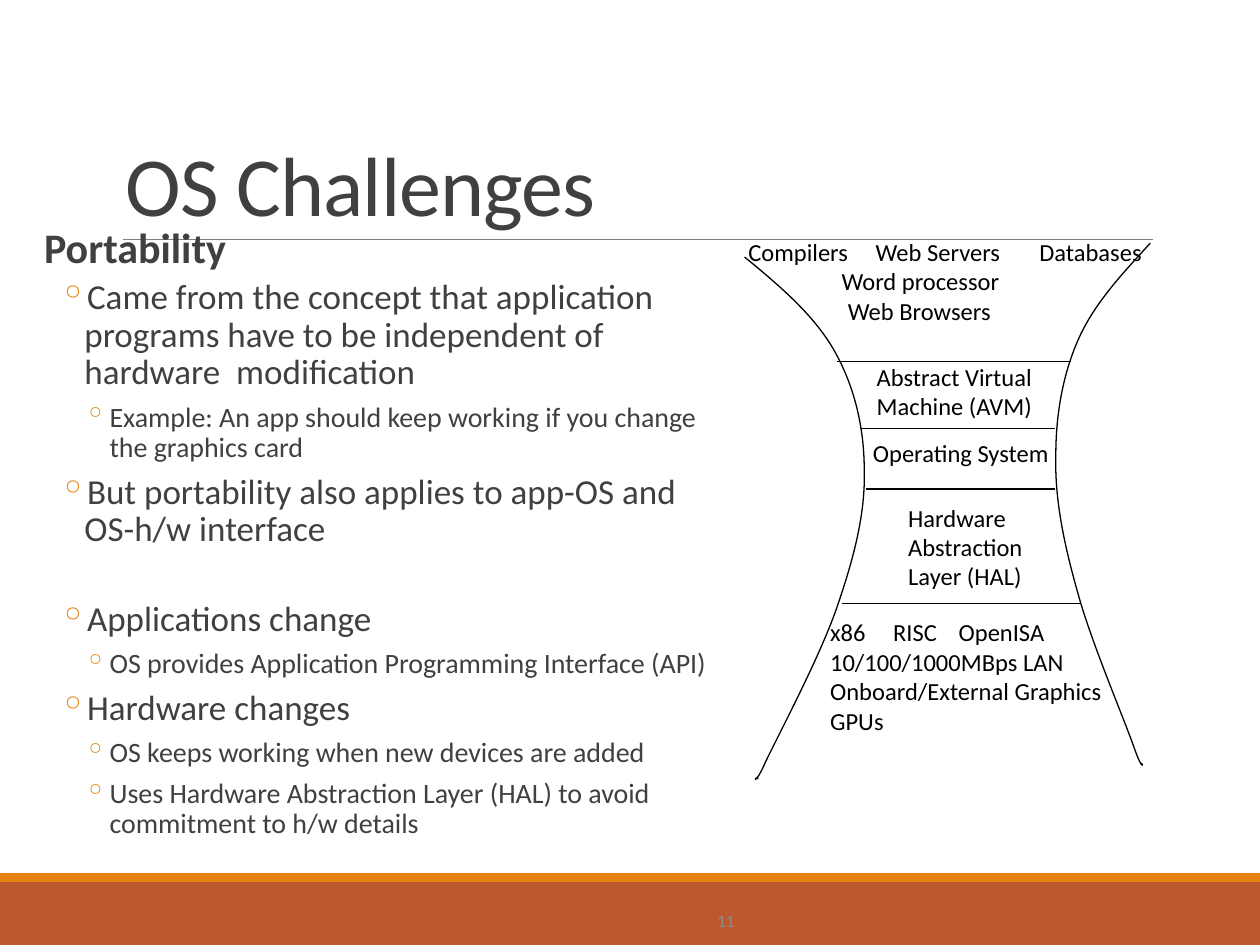
import pptx
import pptx.dml.color
import pptx.enum.shapes
import pptx.enum.text
import pptx.oxml
import pptx.oxml.ns
import pptx.util

COLORS = {"footer": "BD582C", "accent": "E48312", "rule": "808080",
          "text": "404040", "ink": "000000", "number": "8C8C8C"}
FONT = "Calibri"
COLS, ROWS = 10, 7.5
CELL = pptx.util.Inches(1)

# level: (size, left margin in columns, hanging in columns, bullet, before, after)
LEVELS = {0: (24, 0.1, 0, None, 0, 2),
          1: (20, 0.42, 0.2, "◦", 2, 4),
          2: (16, 0.62, 0.2, "◦", 2, 4)}
GROUP_GAP = 25.5
# level, text, starts a new group
OUTLINE = [
    (0, "Portability", False),
    (1, "Came from the concept that application programs have to be "
        "independent of hardware  modification", False),
    (2, "Example: An app should keep working if you change the graphics card", False),
    (1, "But portability also applies to app-OS and  OS-h/w interface", False),
    (1, "Applications change", True),
    (2, "OS provides Application Programming Interface (API)", False),
    (1, "Hardware changes", False),
    (2, "OS keeps working when new devices are added", False),
    (2, "Uses Hardware Abstraction Layer (HAL) to avoid commitment to h/w details", False),
]

# Hourglass walls: start point, then the control and end points of each curve
LEFT_WALL = [(0.11, 0.24), (0.39, 0.47), (0.66, 0.7), (0.82, 0.98),
             (0.98, 1.26), (1.06, 1.59), (1.06, 1.93),
             (1.07, 2.27), (0.98, 2.62), (0.85, 3.0),
             (0.72, 3.39), (0.39, 4.01), (0.28, 4.24),
             (0.18, 4.47), (0.18, 4.35), (0.22, 4.38)]
RIGHT_WALL = [(3.33, 0.13), (3.12, 0.36), (2.9, 0.59), (2.77, 0.87),
              (2.64, 1.15), (2.58, 1.48), (2.58, 1.81),
              (2.57, 2.15), (2.64, 2.5), (2.75, 2.89),
              (2.85, 3.27), (3.12, 3.9), (3.2, 4.13),
              (3.28, 4.36), (3.28, 4.24), (3.25, 4.26)]
# left, right, height of each layer boundary
BOUNDARIES = [(0.84, 2.7, 1.07), (1.03, 2.57, 1.6),
              (1.07, 2.57, 2.08), (0.88, 2.77, 2.99)]
# box in the diagram, tab stops, (indent, lines) of each paragraph
LAYERS = [
    ((0.04, 0.03, 3.38, 0.98), (1.01, 2.31),
     [(0, ["Compilers\tWeb Servers\tDatabases"]),
      (0.74, ["Word processor"]), (0.79, ["Web Browsers"])]),
    ((1.06, 1.02, 1.64, 0.61), (), [(0, ["Abstract Virtual Machine (AVM)"])]),
    ((1.03, 1.63, 2.6, 0.41), (), [(0, ["Operating System"])]),
    ((1.31, 2.14, 2.06, 0.98), (), [(0, ["Hardware", "Abstraction", "Layer (HAL)"])]),
    ((0.69, 3.05, 2.56, 1.14), (0.5, 1.02),
     [(0, ["x86\tRISC\tOpenISA", "10/100/1000MBps LAN",
           "Onboard/External Graphics", "GPUs"])]),
]


def cells(n):
    return pptx.util.Emu(round(n * CELL))


def rgb(name):
    return pptx.dml.color.RGBColor.from_string(COLORS[name])


def sub(parent, tag, **attrs):
    child = pptx.oxml.parse_xml(f'<{tag} {pptx.oxml.ns.nsdecls("a")}/>')
    for key, value in attrs.items():
        child.set(key, str(value))
    parent.append(child)
    return child


def add_run(p, text, size, color, bold=False):
    r = p.add_run()
    r.text = text
    r.font.name, r.font.size, r.font.bold = FONT, pptx.util.Pt(size), bold
    r.font.color.rgb = rgb(color)
    return r


def add_text_frame(s, box, margins=(0.1, 0.05)):
    tf = s.shapes.add_textbox(*map(cells, box)).text_frame
    tf.word_wrap = True
    tf.margin_left = tf.margin_right = cells(margins[0])
    tf.margin_top = tf.margin_bottom = cells(margins[1])
    return tf


def paragraphs(tf, items):
    """Yield each item with its own paragraph of the frame."""
    for i, item in enumerate(items):
        yield (tf.add_paragraph() if i else tf.paragraphs[0]), item


def add_line(s, start, end, color, width):
    line = s.shapes.add_connector(pptx.enum.shapes.MSO_CONNECTOR.STRAIGHT,
                                  *map(cells, (*start, *end)))
    line.line.color.rgb = rgb(color)
    line.line.width = pptx.util.Pt(width)
    sub(line._element.spPr, "a:effectLst")


def add_curve(s, nodes, color, width):
    """Draw a chain of cubic curves as one open freeform."""
    points = [(cells(x), cells(y)) for x, y in nodes]
    builder = s.shapes.build_freeform(*points[0])
    builder.add_line_segments(points[1:], close=False)
    curve = builder.convert_to_shape()
    outline = curve._element.find(".//" + pptx.oxml.ns.qn("a:moveTo")).getparent()
    segments = outline.findall(pptx.oxml.ns.qn("a:lnTo"))
    for i in range(0, len(segments), 3):
        bezier = sub(outline, "a:cubicBezTo")
        for segment in segments[i:i + 3]:
            bezier.append(segment[0])
            outline.remove(segment)
    curve.shadow.inherit = False
    curve.fill.background()
    curve.line.color.rgb = rgb(color)
    curve.line.width = pptx.util.Pt(width)


def add_footer(s, box):
    x, y, w, h = box
    stripe = 0.07
    for top, height, color in ((y + stripe, h - stripe, "footer"), (y, stripe, "accent")):
        bar = s.shapes.add_shape(pptx.enum.shapes.MSO_SHAPE.RECTANGLE,
                                 *map(cells, (x, top, w, height)))
        bar.shadow.inherit = False
        bar.fill.solid()
        bar.fill.fore_color.rgb = rgb(color)
        bar.line.fill.background()
    tf = add_text_frame(s, (x + 4.93, y + 0.18, 1, 0.4))
    tf.vertical_anchor = pptx.enum.text.MSO_ANCHOR.MIDDLE
    p = tf.paragraphs[0]
    p.alignment = pptx.enum.text.PP_ALIGN.RIGHT
    add_run(p, "11", 10, "number")


def add_title(s, box):
    x, y, w, h = box
    add_line(s, (x + 0.08, y + h), (x + w, y + h), "rule", 0.5)
    tf = add_text_frame(s, box)
    tf.vertical_anchor = pptx.enum.text.MSO_ANCHOR.BOTTOM
    p = tf.paragraphs[0]
    p.line_spacing = 0.85
    add_run(p, "OS Challenges", 48, "text")._r.get_or_add_rPr().set("spc", "-50")


def add_outline(s, box):
    tf = add_text_frame(s, box, (0, 0.05))
    for p, (level, text, new_group) in paragraphs(tf, OUTLINE):
        size, margin, hanging, bullet, before, after = LEVELS[level]
        p.level, p.line_spacing = level, 0.9
        p.space_before = pptx.util.Pt(GROUP_GAP if new_group else before)
        p.space_after = pptx.util.Pt(after)
        pPr = p._p.get_or_add_pPr()
        pPr.set("marL", str(cells(margin)))
        pPr.set("indent", str(-cells(hanging)))
        if bullet:
            sub(sub(pPr, "a:buClr"), "a:srgbClr", val=COLORS["accent"])
            sub(pPr, "a:buChar", char=bullet)
        add_run(p, text, size, "text", bold=level == 0)


def add_hourglass(s, box):
    x, y = box[:2]
    for wall in (LEFT_WALL, RIGHT_WALL):
        add_curve(s, [(x + px, y + py) for px, py in wall], "ink", 0.75)
    for left, right, height in BOUNDARIES:
        add_line(s, (x + left, y + height), (x + right, y + height), "ink", 0.75)
    for (left, top, w, h), tabs, blocks in LAYERS:
        tf = add_text_frame(s, (x + left, y + top, w, h))
        for p, (indent, lines) in paragraphs(tf, blocks):
            pPr = p._p.get_or_add_pPr()
            pPr.set("marL", str(cells(indent)))
            if "\t" in lines[0]:
                stops = sub(pPr, "a:tabLst")
                for stop in tabs:
                    sub(stops, "a:tab", pos=cells(stop), algn="l")
            for i, text in enumerate(lines):
                if i:
                    p.add_line_break()
                add_run(p, text, 14, "ink")


def main():
    prs = pptx.Presentation()
    prs.slide_width, prs.slide_height = cells(COLS), cells(ROWS)
    s = prs.slides.add_slide(prs.slide_layouts[6])
    add_footer(s, (0, 6.93, COLS, ROWS - 6.93))
    add_title(s, (0.9, 0.31, 8.25, 1.59))
    add_outline(s, (0.25, 1.75, 5.42, 5.29))
    add_hourglass(s, (5.8, 1.8, 3.4, 4.5))
    prs.save("out.pptx")


if __name__ == "__main__":
    main()
